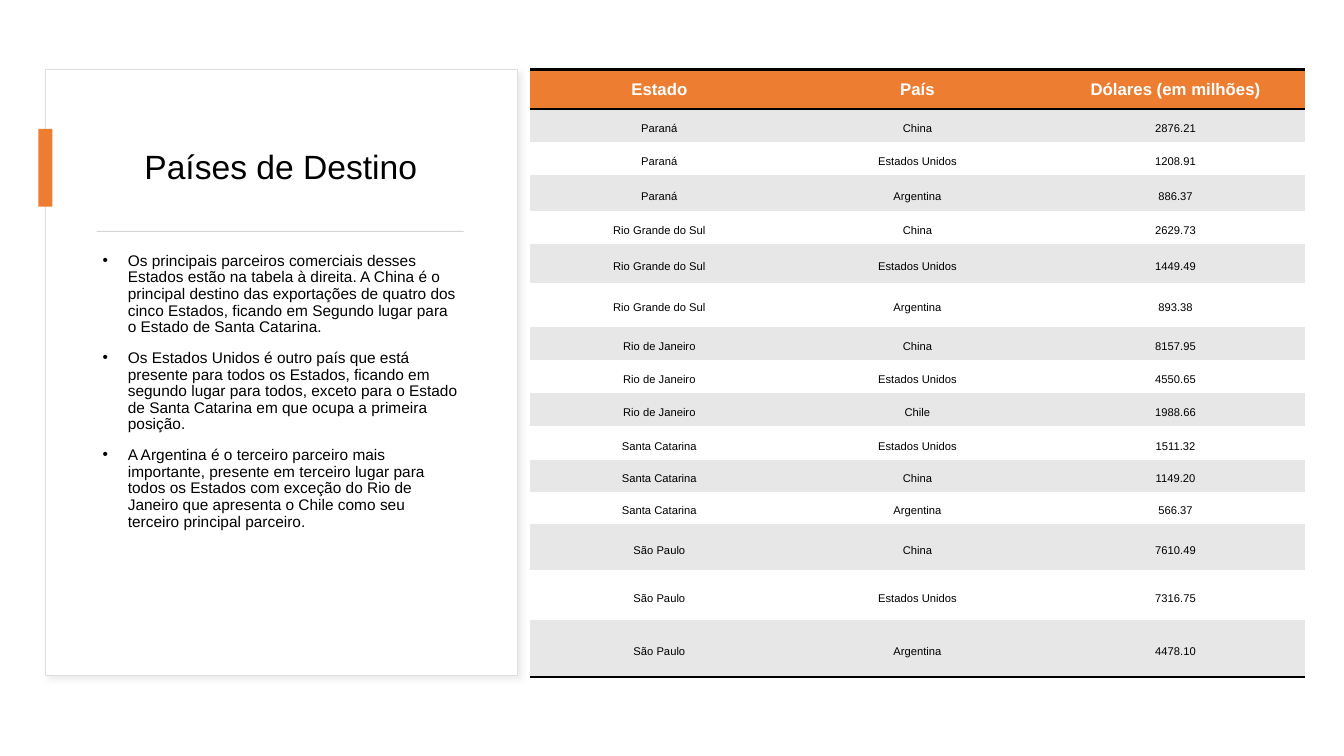
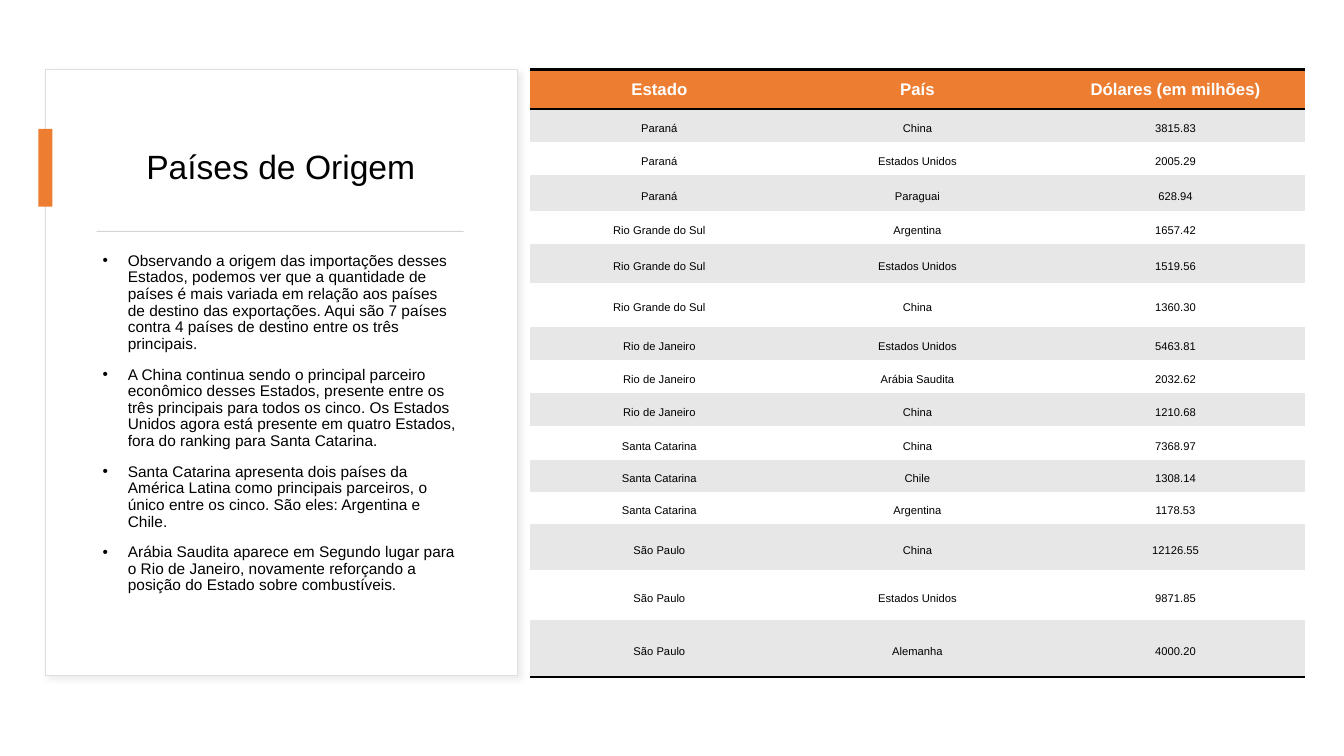
import pptx
import pptx.util
import pptx.dml.color
import pptx.enum.shapes
import pptx.enum.text
import pptx.oxml.ns
from lxml import etree

Inches = pptx.util.Inches
Pt = pptx.util.Pt
qn = pptx.oxml.ns.qn
ALIGN = pptx.enum.text.PP_ALIGN
MIDDLE = pptx.enum.text.MSO_ANCHOR.MIDDLE

FONT = "Arial"
BLACK, WHITE, ORANGE = "000000", "FFFFFF", "ED7D31"
BAND, RULE, FRAME, SHADOW = "E7E7E7", "D5D5D5", "DEDEDE", "D9D9D9"
PLAIN_TABLE_STYLE = "{2D5ABB26-0587-4C30-8999-92F81FD0307C}"

HEADER = ("Estado", "País", "Dólares (em milhões)")
COLUMN_WIDTH = 2.56
ROW_HEIGHTS = (0.39, 0.33, 0.33, 0.35, 0.33, 0.39, 0.43, 0.33,
               0.33, 0.33, 0.33, 0.32, 0.32, 0.46, 0.49, 0.57)

SLIDES = [
    {
        "title": "Países de Destino",
        "bullets": [
            "Os principais parceiros comerciais desses Estados estão na tabela à direita. A China é o principal destino das exportações de quatro dos cinco Estados, ficando em Segundo lugar para o Estado de Santa Catarina.",
            "Os Estados Unidos é outro país que está presente para todos os Estados, ficando em segundo lugar para todos, exceto para o Estado de Santa Catarina em que ocupa a primeira posição.",
            "A Argentina é o terceiro parceiro mais importante, presente em terceiro lugar para todos os Estados com exceção do Rio de Janeiro que apresenta o Chile como seu terceiro principal parceiro.",
        ],
        "partners": {
            "Paraná": [("China", "2876.21"), ("Estados Unidos", "1208.91"), ("Argentina", "886.37")],
            "Rio Grande do Sul": [("China", "2629.73"), ("Estados Unidos", "1449.49"), ("Argentina", "893.38")],
            "Rio de Janeiro": [("China", "8157.95"), ("Estados Unidos", "4550.65"), ("Chile", "1988.66")],
            "Santa Catarina": [("Estados Unidos", "1511.32"), ("China", "1149.20"), ("Argentina", "566.37")],
            "São Paulo": [("China", "7610.49"), ("Estados Unidos", "7316.75"), ("Argentina", "4478.10")],
        },
    },
    {
        "title": "Países de Origem",
        "bullets": [
            "Observando a origem das importações desses Estados, podemos ver que a quantidade de países é mais variada em relação aos países de destino das exportações. Aqui são 7 países contra 4 países de destino entre os três principais.",
            "A China continua sendo o principal parceiro econômico desses Estados, presente entre os três principais para todos os cinco. Os Estados Unidos agora está presente em quatro Estados, fora do ranking para Santa Catarina.",
            "Santa Catarina apresenta dois países da América Latina como principais parceiros, o único entre os cinco. São eles: Argentina e Chile.",
            "Arábia Saudita aparece em Segundo lugar para o Rio de Janeiro, novamente reforçando a posição do Estado sobre combustíveis.",
        ],
        "partners": {
            "Paraná": [("China", "3815.83"), ("Estados Unidos", "2005.29"), ("Paraguai", "628.94")],
            "Rio Grande do Sul": [("Argentina", "1657.42"), ("Estados Unidos", "1519.56"), ("China", "1360.30")],
            "Rio de Janeiro": [("Estados Unidos", "5463.81"), ("Arábia Saudita", "2032.62"), ("China", "1210.68")],
            "Santa Catarina": [("China", "7368.97"), ("Chile", "1308.14"), ("Argentina", "1178.53")],
            "São Paulo": [("China", "12126.55"), ("Estados Unidos", "9871.85"), ("Alemanha", "4000.20")],
        },
    },
]


def rgb(color):
    return pptx.dml.color.RGBColor.from_string(color)


def add_xml(parent, tag, **attributes):
    return etree.SubElement(parent, qn(tag), {name: str(value) for name, value in attributes.items()})


def write_text(frame, *texts, size, color=BLACK, bold=False, align=ALIGN.LEFT,
               line_spacing=1.0, space_before=0, bullet=False):
    frame.word_wrap = True
    for index, text in enumerate(texts):
        paragraph = frame.add_paragraph() if index else frame.paragraphs[0]
        paragraph.alignment = align
        paragraph.line_spacing = line_spacing
        paragraph.space_before = Pt(space_before)
        run = paragraph.add_run()
        run.text = text
        run.font.name = FONT
        run.font.size = Pt(size)
        run.font.bold = bold
        run.font.color.rgb = rgb(color)
        if bullet:
            properties = paragraph._p.get_or_add_pPr()
            properties.set("marL", str(Inches(0.25)))
            properties.set("indent", str(-Inches(0.25)))
            add_xml(properties, "a:buFont", typeface=FONT)
            add_xml(properties, "a:buChar", char="•")


def add_rectangle(slide, left, top, width, height, fill, line=None):
    shape = slide.shapes.add_shape(
        pptx.enum.shapes.MSO_SHAPE.RECTANGLE,
        Inches(left), Inches(top), Inches(width), Inches(height))
    shape.shadow.inherit = False
    shape.fill.solid()
    shape.fill.fore_color.rgb = rgb(fill)
    if line:
        shape.line.color.rgb = rgb(line)
        shape.line.width = Pt(0.75)
    else:
        shape.line.fill.background()
    return shape


def add_shadow(shape):
    effects = shape.element.spPr.find(qn("a:effectLst"))
    shadow = add_xml(effects, "a:outerShdw", blurRad=Pt(4), dist=Pt(3), dir=45 * 60000,
                     algn="tl", rotWithShape=0)
    color = add_xml(shadow, "a:srgbClr", val=SHADOW)
    add_xml(color, "a:alpha", val=50000)


def add_text_box(slide, left, top, width, height):
    return slide.shapes.add_textbox(
        Inches(left), Inches(top), Inches(width), Inches(height)).text_frame


def add_border(cell, side):
    border = add_xml(cell._tc.get_or_add_tcPr(), side, w=Pt(2))
    add_xml(add_xml(border, "a:solidFill"), "a:srgbClr", val=BLACK)


def add_panel(slide, title, bullets):
    add_shadow(add_rectangle(slide, 0.45, 0.69, 4.68, 6.01, WHITE, line=FRAME))
    title_frame = add_text_box(slide, 0.92, 1.07, 3.73, 1.21)
    title_frame.vertical_anchor = MIDDLE
    write_text(title_frame, title, size=24, align=ALIGN.CENTER, line_spacing=0.9)
    add_rectangle(slide, 0.38, 1.28, 0.14, 0.77, ORANGE)
    add_rectangle(slide, 0.96, 2.29, 3.64, 0.01, RULE)
    write_text(add_text_box(slide, 0.92, 2.46, 3.73, 3.89), *bullets,
               size=11, line_spacing=0.9, space_before=10, bullet=True)


def add_partner_table(slide, partners):
    rows = [HEADER] + [(state, country, value)
                       for state, entries in partners.items() for country, value in entries]
    graphic = slide.shapes.add_table(
        len(rows), len(HEADER), Inches(5.26), Inches(0.69),
        Inches(COLUMN_WIDTH * len(HEADER)), Inches(sum(ROW_HEIGHTS)))
    table = graphic.table
    table._tbl.tblPr.find(qn("a:tableStyleId")).text = PLAIN_TABLE_STYLE
    for column in table.columns:
        column.width = Inches(COLUMN_WIDTH)
    for row_index, values in enumerate(rows):
        table.rows[row_index].height = Inches(ROW_HEIGHTS[row_index])
        is_header = row_index == 0
        fill = ORANGE if is_header else BAND if row_index % 2 else WHITE
        text_format = (dict(size=12, color=WHITE, bold=True) if is_header
                       else dict(size=8, line_spacing=1.5))
        for column_index, value in enumerate(values):
            cell = table.cell(row_index, column_index)
            cell.vertical_anchor = MIDDLE
            if is_header:
                add_border(cell, "a:lnT")
            if is_header or row_index == len(rows) - 1:
                add_border(cell, "a:lnB")
            cell.fill.solid()
            cell.fill.fore_color.rgb = rgb(fill)
            write_text(cell.text_frame, value, align=ALIGN.CENTER, **text_format)


def main():
    presentation = pptx.Presentation()
    presentation.slide_width = Inches(13.33)
    presentation.slide_height = Inches(7.5)
    for content in SLIDES:
        slide = presentation.slides.add_slide(presentation.slide_layouts[6])
        add_panel(slide, content["title"], content["bullets"])
        add_partner_table(slide, content["partners"])
    presentation.save("out.pptx")


if __name__ == "__main__":
    main()
